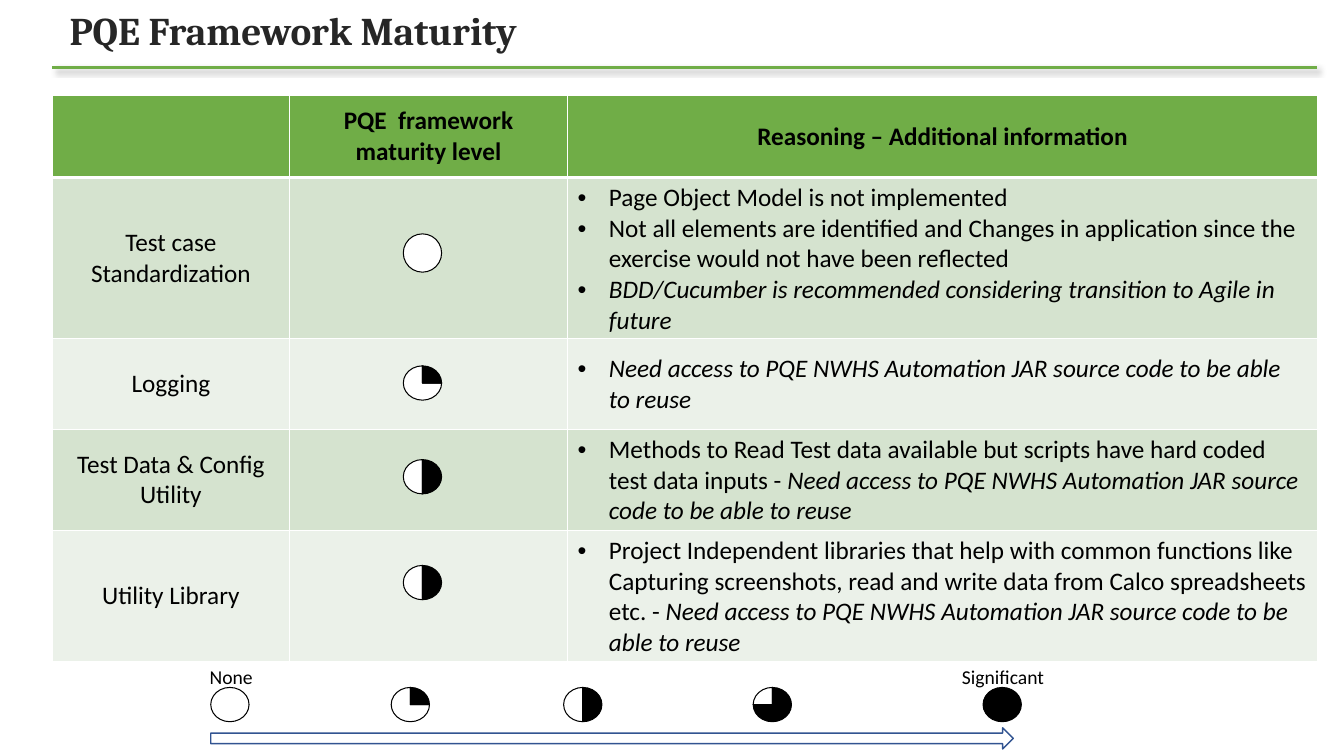
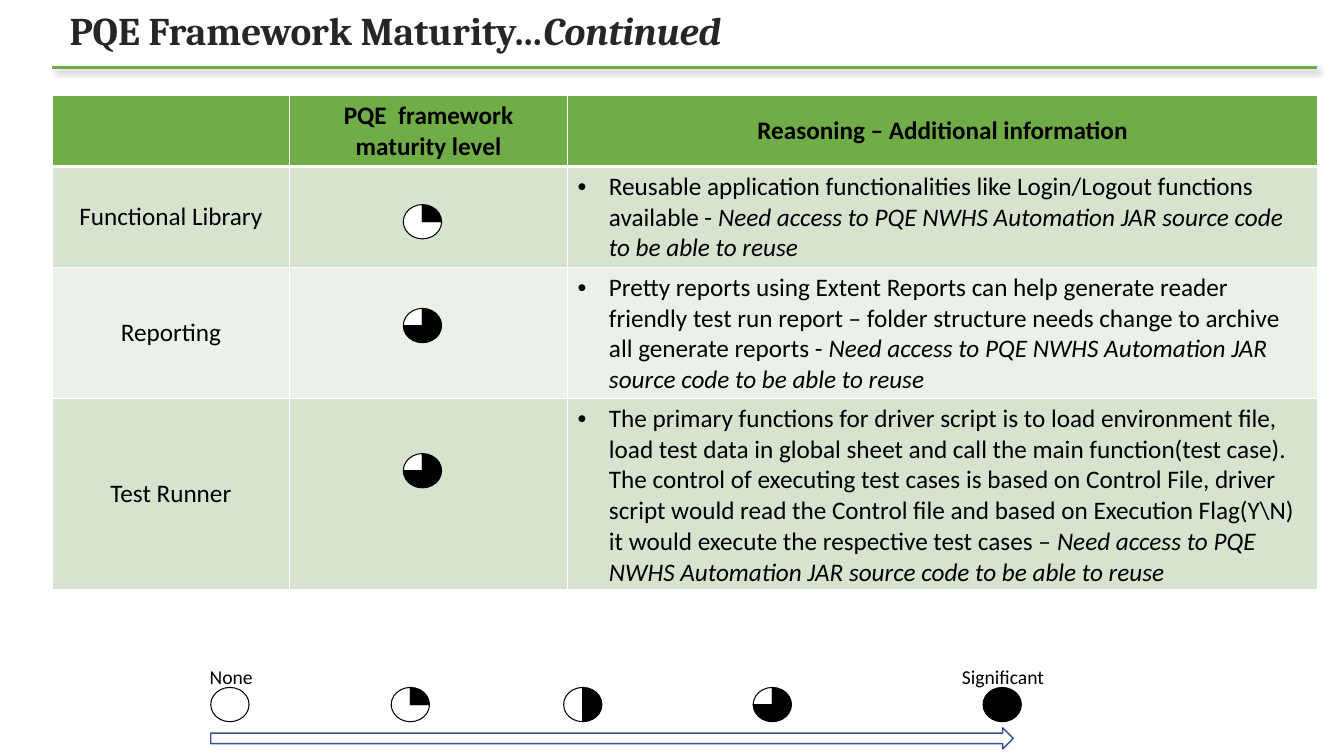
"""Build the two framework maturity slides."""
from dataclasses import dataclass

from lxml import etree
from pptx import Presentation
from pptx.dml.color import RGBColor
from pptx.enum import shapes, text
from pptx.oxml import ns
from pptx import util as u


@dataclass(frozen=True)
class Theme:
    """Colours and type styles shared by the slides."""
    green: str = "70AD47"
    bands: tuple = ("D5E3CF", "EBF1E9")
    white: str = "FFFFFF"
    black: str = "000000"
    ink: str = "262626"
    arrow: str = "325491"
    title: tuple = (("name", "Cambria"), ("size", u.Pt(28)), ("bold", True))
    header: tuple = (("name", "Calibri"), ("size", u.Pt(18)), ("bold", True))
    body: tuple = (("name", "Calibri"), ("size", u.Pt(18)), ("bold", False))
    caption: tuple = (("name", "Calibri"), ("size", u.Pt(14)), ("bold", False))


@dataclass(frozen=True)
class Topic:
    """One table row: height and ball place in grid cells, level in quarters."""
    name: str
    height: float
    ball_top: float
    level: int
    reasons: tuple
    ball_height: float = 3.4


THEME = Theme()
GRID = u.Inches(0.1)
LEFT, WIDTH = 5.2, 125.4
COLUMNS = (23.5, 27.6, 74.4)
BALL_LEFT, BALL_WIDTH = 40, 3.8
LEGEND_TOP = 68.2
LEGEND = (20.9, 38.8, 55.9, 74.7, 97.5)
HEADINGS = ("", "PQE  framework maturity level", "Reasoning – Additional information")
ACCESS = ("Need access to PQE NWHS Automation JAR source code to be able to reuse", True)

SLIDES = (
    ((("PQE Framework Maturity", False),), 8.1, (
        Topic("Test case Standardization", 15.9, 23.2, 0, (
            (("Page Object Model is not implemented", False),),
            (("Not all elements are identified and Changes in application since "
              "the exercise would not have been reflected", False),),
            (("BDD/Cucumber is recommended considering transition to Agile in "
              "future", True),)), 3.8),
        Topic("Logging", 9, 36.3, 1, ((ACCESS,),)),
        Topic("Test Data & Config Utility", 8.7, 45.6, 2, ((
            ("Methods to Read Test data available but scripts have hard coded "
             "test data inputs - ", False), ACCESS),)),
        Topic("Utility Library", 12.3, 56.1, 2, ((
            ("Project Independent libraries that help with common functions like "
             "Capturing screenshots, read and write data from Calco spreadsheets "
             "etc. - ", False), ACCESS),)),
    )),
    ((("PQE Framework Maturity…", False), ("Continued", True)), 7, (
        Topic("Functional Library", 9.9, 20.3, 1, ((
            ("Reusable application functionalities like Login/Logout functions "
             "available - ", False), ACCESS),)),
        Topic("Reporting", 10.6, 30.6, 3, ((
            ("Pretty reports using Extent Reports can help generate reader "
             "friendly test run report – folder structure needs change to archive "
             "all generate reports - ", False), ACCESS),)),
        Topic("Test Runner", 16.8, 45, 3, ((
            ("The primary functions for driver script is to load environment file, "
             "load test data in global sheet and call the main function(test case). "
             "The control of executing test cases is based on Control File, driver "
             "script would read the Control file and based on Execution Flag(Y\\N) "
             "it would execute the respective test cases – ", False), ACCESS),)),
    )),
)


def cells(*counts):
    """Turn counts of grid cells into lengths."""
    return [u.Emu(round(count * GRID)) for count in counts]


def apply(target, values):
    """Set each named attribute on the target."""
    for name, value in dict(values).items():
        setattr(target, name, value)


def child(parent, tag, **attributes):
    """Append a drawing element with its attributes."""
    element = etree.SubElement(parent, ns.qn(f"a:{tag}"))
    for name, value in attributes.items():
        element.set(name, str(value))
    return element


def write(para, spans, style, color=THEME.black):
    """Write (text, italic) spans in one style."""
    for words, italic in spans:
        span = para.add_run()
        span.text = words
        apply(span.font, style)
        span.font.italic = italic
        span.font.color.rgb = RGBColor.from_string(color)


def add_text(page, place, spans, style, color=THEME.black, **frame):
    """Add a wrapping text box and return its paragraph."""
    box = page.shapes.add_textbox(*cells(*place))
    apply(box.text_frame, {"word_wrap": True, "margin_left": 0, "margin_right": 0, **frame})
    para = box.text_frame.paragraphs[0]
    write(para, spans, style, color)
    return para


def add_shape(group, kind, place, fill, line=THEME.black, weight=0.75):
    """Add an outlined preset shape without shadow."""
    shape = group.add_shape(kind, *cells(*place))
    shape.shadow.inherit = False
    shape.fill.solid()
    shape.fill.fore_color.rgb = RGBColor.from_string(fill)
    shape.line.color.rgb = RGBColor.from_string(line)
    shape.line.width = u.Pt(weight)
    return shape


def add_ball(page, left, top, level, height=3.4):
    """Add a ball filled clockwise from the top by quarters."""
    place = (left, top, BALL_WIDTH, height)
    if level in (0, 4):
        fill = THEME.black if level else THEME.white
        add_shape(page.shapes, shapes.MSO_SHAPE.OVAL, place, fill)
        return
    quarter = 54
    start, end = 3 * quarter, (3 + level) % 4 * quarter
    group = page.shapes.add_group_shape().shapes
    for fill, angles in ((THEME.white, (end, start)), (THEME.black, (start, end))):
        pie = add_shape(group, shapes.MSO_SHAPE.PIE, place, fill)
        for index, angle in enumerate(angles):
            pie.adjustments[index] = angle


def add_title(page, spans):
    """Add the title and the shadowed rule beneath it."""
    para = add_text(page, (0.8, 0.6, 123.1, 5.3), spans, THEME.title, THEME.ink,
                    margin_left=cells(6.1)[0], vertical_anchor=text.MSO_ANCHOR.MIDDLE)
    para.line_spacing = 0.9
    rule = page.shapes.add_connector(
        shapes.MSO_CONNECTOR.STRAIGHT, *cells(LEFT, 6.7, LEFT + WIDTH, 6.7))
    rule.line.color.rgb = RGBColor.from_string(THEME.green)
    rule.line.width = u.Pt(1.5)
    effects = child(rule._element.spPr, "effectLst")
    shadow = child(effects, "outerShdw", blurRad=u.Pt(4), dist=u.Pt(3),
                   dir=45 * 60000, algn="tl", rotWithShape=0)
    child(child(shadow, "srgbClr", val=THEME.black), "alpha", val=40000)


def style_cell(cell, fill, top=1, bottom=1):
    """Give a cell white borders, a fill and middle anchoring."""
    cell.vertical_anchor = text.MSO_ANCHOR.MIDDLE
    properties = cell._tc.get_or_add_tcPr()
    for side, weight in zip("LRTB", (1, 1, top, bottom)):
        border = child(properties, f"ln{side}", w=u.Pt(weight))
        child(child(border, "solidFill"), "srgbClr", val=THEME.white)
    cell.fill.solid()
    cell.fill.fore_color.rgb = RGBColor.from_string(fill)


def write_centred(cell, words, style):
    """Write one centred paragraph in a cell."""
    para = cell.text_frame.paragraphs[0]
    para.alignment = text.PP_ALIGN.CENTER
    write(para, ((words, False),), style)


def write_bullets(cell, reasons):
    """Write one bulleted paragraph for each reason."""
    frame = cell.text_frame
    for index, spans in enumerate(reasons):
        para = frame.add_paragraph() if index else frame.paragraphs[0]
        properties = para._p.get_or_add_pPr()
        indent = u.Inches(0.31)
        apply_indent = {"marL": indent, "indent": -indent}
        for name, value in apply_indent.items():
            properties.set(name, str(value))
        child(properties, "buFont", typeface="Arial")
        child(properties, "buChar", char="•")
        write(para, spans, THEME.body)


def add_topics(page, header_height, topics):
    """Add the maturity table and its balls."""
    heights = (header_height, *(topic.height for topic in topics))
    table = page.shapes.add_table(
        len(heights), len(COLUMNS), *cells(LEFT, 9.5, WIDTH, sum(heights))).table
    apply(table, {"first_row": False, "horz_banding": False})
    for column, width in zip(table.columns, cells(*COLUMNS)):
        column.width = width
    for row, height in zip(table.rows, cells(*heights)):
        row.height = height
    for index, heading in enumerate(HEADINGS):
        cell = table.cell(0, index)
        style_cell(cell, THEME.green, bottom=3)
        if heading:
            write_centred(cell, heading, THEME.header)
    for number, topic in enumerate(topics):
        row = table.rows[number + 1]
        for cell in row.cells:
            style_cell(cell, THEME.bands[number % 2], top=1 if number else 3)
        write_centred(row.cells[0], topic.name, THEME.body)
        write_bullets(row.cells[2], topic.reasons)
        add_ball(page, BALL_LEFT, topic.ball_top, topic.level, topic.ball_height)


def add_legend(page):
    """Add the scale from none to significant."""
    for left, words in ((20.8, "None"), (95.4, "Significant")):
        add_text(page, (left, 65.5, 12, 3.1), ((words, False),), THEME.caption)
    for level, left in enumerate(LEGEND):
        add_ball(page, left, LEGEND_TOP, level)
    add_shape(page.shapes, shapes.MSO_SHAPE.RIGHT_ARROW,
              (LEGEND[0], 72.2, 79.6, 2.1), THEME.white, THEME.arrow, 1)


def main():
    """Build and save the deck."""
    deck = Presentation()
    apply(deck, zip(("slide_width", "slide_height"), cells(133.3, 75)))
    for title, header_height, topics in SLIDES:
        page = deck.slides.add_slide(deck.slide_layouts[6])
        add_title(page, title)
        add_topics(page, header_height, topics)
        add_legend(page)
    deck.save("out.pptx")


main()
